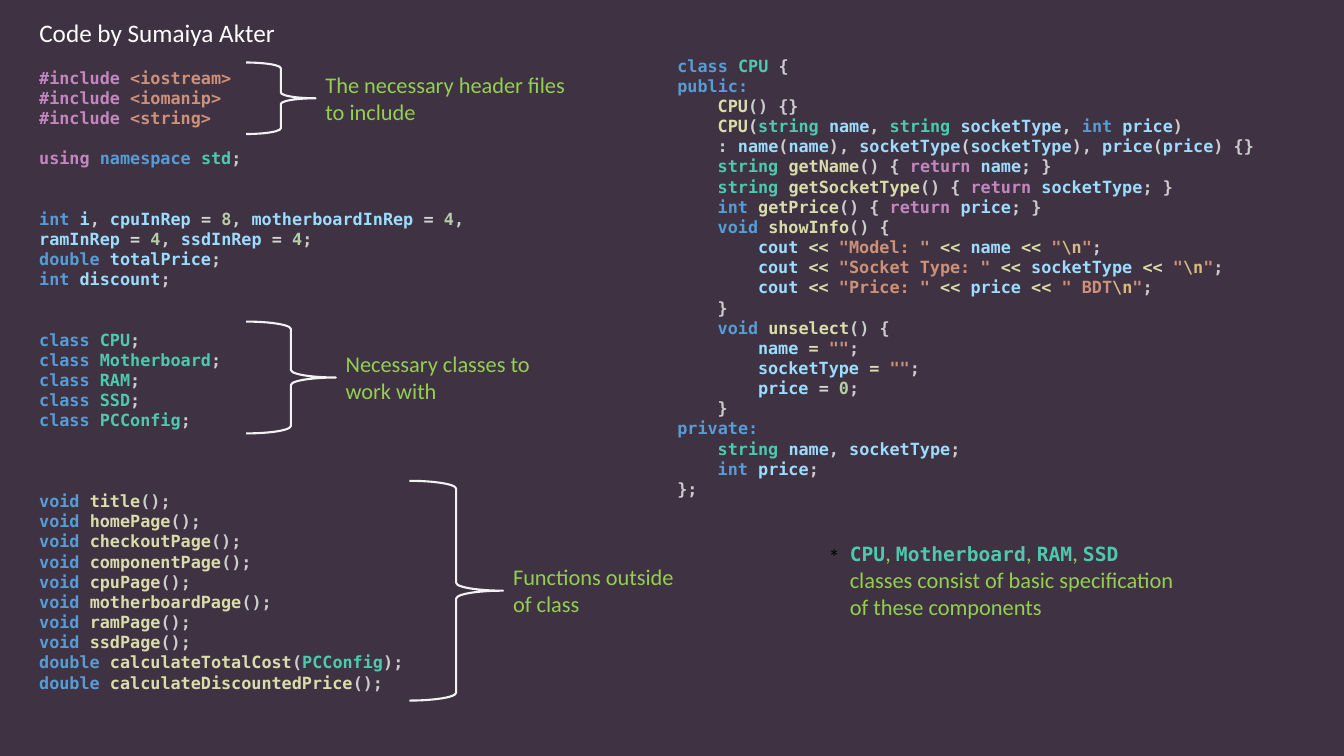
from pptx import Presentation
from pptx import util as u
from pptx.dml import color
from pptx.enum import shapes, text

MONO, SANS = "DejaVu Sans Mono", "Calibri"
GREEN = "92D050"
HUES = {
    "c": "C586C0", "s": "CE9178", "k": "569CD6", "t": "4EC9B0", "p": "CCCCCC", "v": "9CDCFE",
    "o": "D4D4D4", "n": "B5CEA8", "f": "DCDCAA", "e": "D7BA7D", "g": GREEN,
}

HEADS = ["iostream", "iomanip", "string"]
KINDS = ["CPU", "Motherboard", "RAM", "SSD", "PCConfig"]
PAGES = ["title", "homePage", "checkoutPage", "componentPage", "cpuPage",
         "motherboardPage", "ramPage", "ssdPage"]
COUNTS = [("cpuInRep", 8), ("motherboardInRep", 4), ("ramInRep", 4), ("ssdInRep", 4)]
GETS = [("tstring ", "getName", "name"), ("tstring ", "getSocketType", "socketType"),
        ("kint ", "getPrice", "price")]
SHOWS = [("Model: ", "name", '"'), ("Socket Type: ", "socketType", '"'),
         ("Price: ", "price", '" BDT')]

BLOCKS = [
    (0, [f"c#include |s<{h}>" for h in HEADS]),
    (1, ["cusing |knamespace |tstd|p;"]),
    (2, ["kint |vi" + "".join(f"|p, |v{n} |o= |n{c}" for n, c in COUNTS) + "|p;",
         "kdouble |vtotalPrice|p;",
         "kint |vdiscount|p;"]),
    (2, [f"kclass |t{n}|p;" for n in KINDS]),
    (3, [f"kvoid |f{n}|p();" for n in PAGES]
        + ["kdouble |fcalculateTotalCost|p(|tPCConfig|p);",
           "kdouble |fcalculateDiscountedPrice|p();"]),
]

CPU = [
    (0, "kclass |tCPU|p {"),
    (0, "kpublic:"),
    (1, "fCPU|p() {}"),
    (1, "fCPU|p(|tstring |vname|p, |tstring |vsocketType|p, |kint |vprice|p)"),
    (1, "p: |vname|p(|vname|p), |vsocketType|p(|vsocketType|p), |vprice|p(|vprice|p) {}"),
    *[(1, f"{kind}|f{get}|p() {{ |creturn |v{var}|p; }}") for kind, get, var in GETS],
    (1, "kvoid |fshowInfo|p() {"),
    *[(2, f'vcout |f<< |s"{tag}" |f<< |v{var} |f<< |s{end}|e\\n|s"|p;') for tag, var, end in SHOWS],
    (1, "p}"),
    (1, "kvoid |funselect|p() {"),
    *[(2, f'v{var} |f= |s""|p;') for var in ("name", "socketType")],
    (2, "vprice |o= |n0|p;"),
    (1, "p}"),
    (0, "kprivate:"),
    (1, "tstring |vname|p, |vsocketType|p;"),
    (1, "kint |vprice|p;"),
    (0, "p};"),
]

NOTES = [
    ((2.44, 0.62, 0.69, 0.71), 2.8, "The necessary header files to include"),
    ((2.44, 3.19, 0.89, 1.11), 2.09, "Necessary classes to work with"),
    ((4.06, 4.77, 0.93, 2.18), 1.84, "Functions outside of class"),
]
LINE, STEP, NOTE = 14.4, 0.4, 0.64


def rgb(code):
    return color.RGBColor.from_string(code)


def place(at):
    return [u.Inches(n) for n in at]


def frame(box):
    body = box.text_frame
    body.word_wrap = True
    body.auto_size = text.MSO_AUTO_SIZE.NONE
    body.vertical_anchor = text.MSO_ANCHOR.TOP
    return body


def write(para, words, size=16, face=SANS, hue=GREEN, bold=False):
    run = para.add_run()
    run.text = words
    run.font.size = u.Pt(size)
    run.font.name = face
    run.font.bold = bold
    run.font.color.rgb = rgb(hue)


def label(at, words, **form):
    body = frame(slide.shapes.add_textbox(*place(at)))
    write(body.paragraphs[0], words, **form)


def code(at, rows):
    body = frame(slide.shapes.add_textbox(*place(at)))
    for i, (gap, depth, row) in enumerate(rows):
        para = body.add_paragraph() if i else body.paragraphs[0]
        para.line_spacing = u.Pt(LINE)
        para.space_before = u.Pt(gap * LINE)
        para._p.get_or_add_pPr().set("marL", str(u.Inches(depth * STEP)))
        for part in row.split("|"):
            write(para, part[1:], size=12, face=MONO, hue=HUES[part[0]], bold=True)


deck = Presentation()
deck.slide_width, deck.slide_height = place((13.33, 7.5))
slide = deck.slides.add_slide(deck.slide_layouts[5])
slide.background.fill.solid()
slide.background.fill.fore_color.rgb = rgb("3F3242")

title = slide.shapes.title
title.left, title.top, title.width, title.height = place((0.29, 0.12, 2.62, 0.4))
head = frame(title).paragraphs[0]
head.alignment = text.PP_ALIGN.LEFT
write(head, "Code by Sumaiya Akter", size=18, hue="FFFFFF")

code((0.29, 0.62, 4.48, 6.56),
     [(0 if i else gap, 0, row) for gap, rows in BLOCKS for i, row in enumerate(rows)])
code((6.62, 0.5, 5.98, 4.54), [(0, depth, row) for depth, row in CPU])

for at, wide, words in NOTES:
    brace = slide.shapes.add_shape(shapes.MSO_SHAPE.RIGHT_BRACE, *place(at))
    brace.shadow.inherit = False
    brace.fill.background()
    brace.line.color.rgb = rgb("F2F2F2")
    brace.line.width = u.Pt(1.5)
    left, top, span, tall = at
    label((left + span, top + (tall - NOTE) / 2, wide, NOTE), words)

para = frame(slide.shapes.add_textbox(*place((8.33, 5.3, 3.45, 0.91)))).paragraphs[0]
for i, kind in enumerate(KINDS[:4]):
    if i:
        write(para, ", ")
    write(para, kind, size=14, face=MONO, hue=HUES["t"], bold=True)
write(para, " classes consist of basic specification of these components")
label((8.12, 5.34, 0.26, 0.37), "*", hue="000000")

deck.save("out.pptx")
